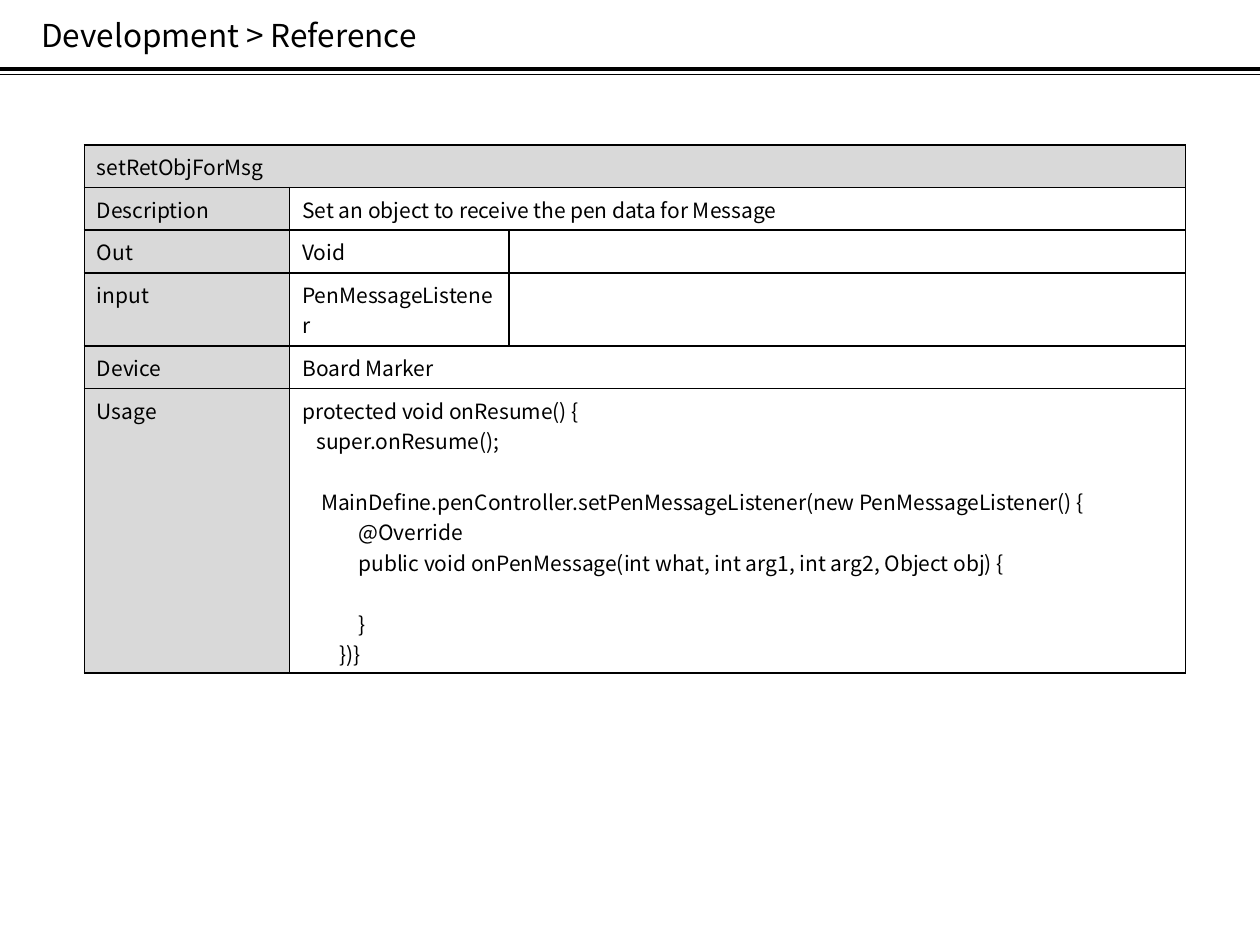
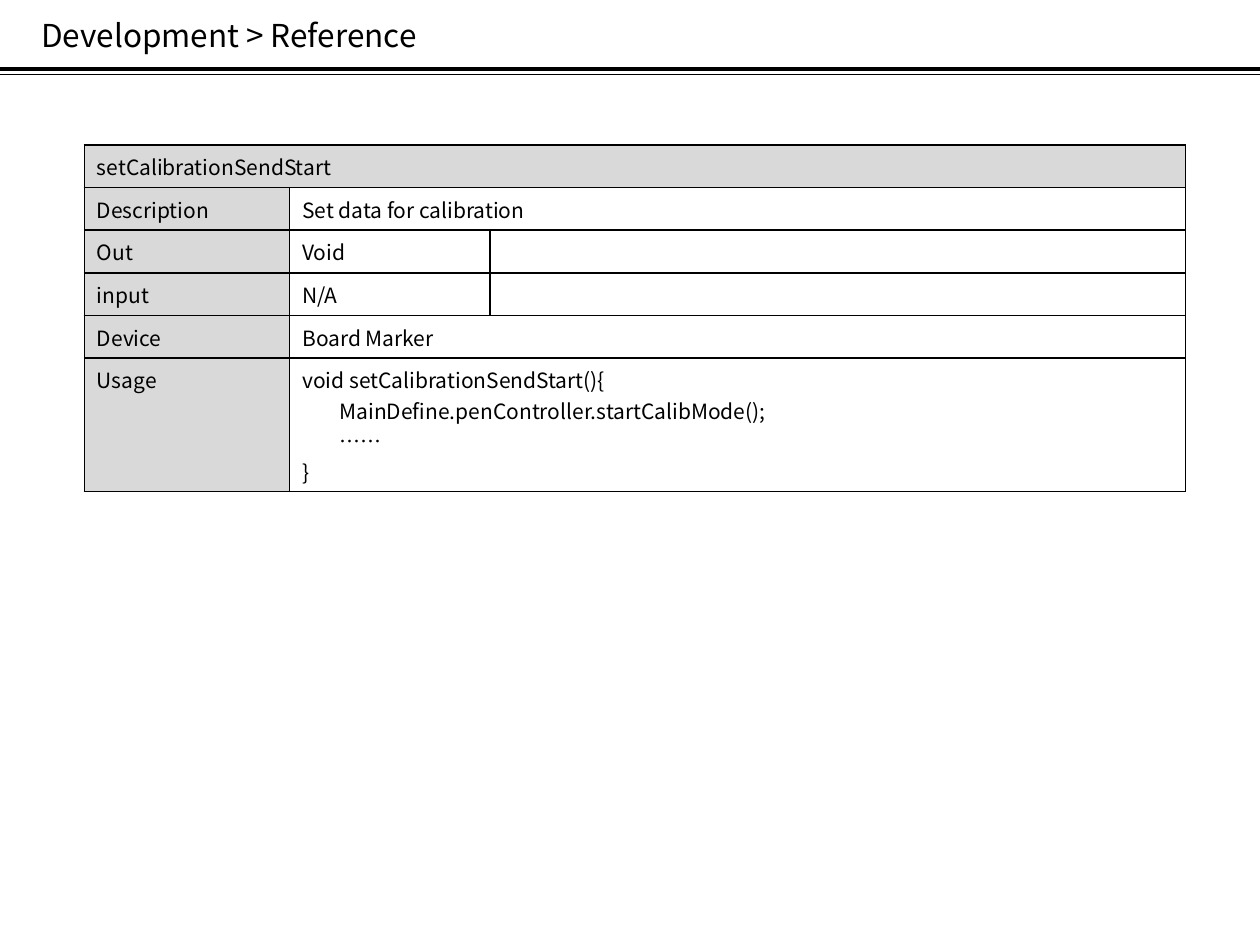
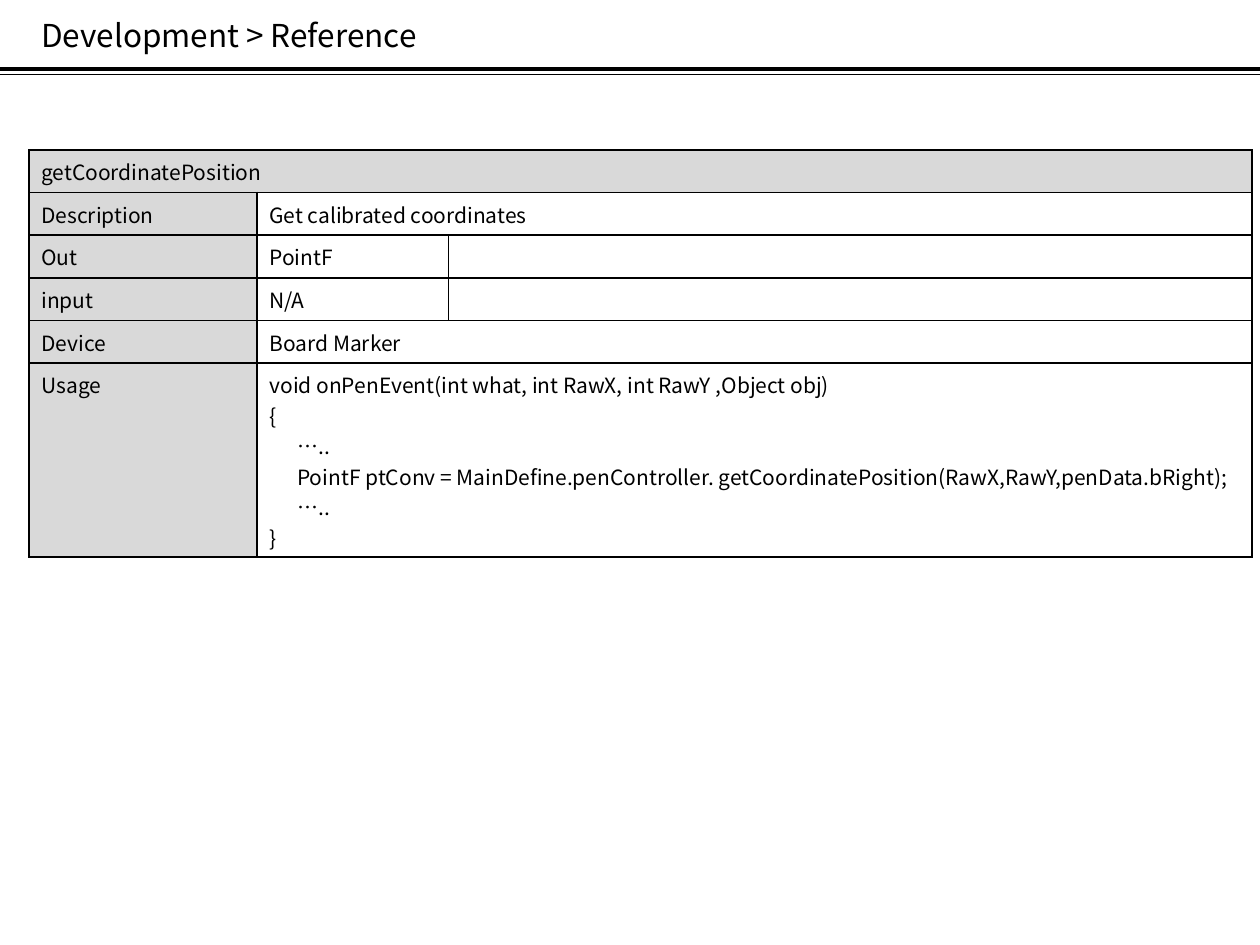
from math import ceil

from lxml.etree import SubElement
from pptx import Presentation
from pptx.dml.color import RGBColor
from pptx.enum.shapes import MSO_CONNECTOR
from pptx.enum.text import MSO_AUTO_SIZE
from pptx.oxml.ns import qn
from pptx.util import Cm, Pt

FONT = "Noto Sans CJK KR"
INK, LABEL_FILL = "000000", "D9D9D9"
PAGE_WIDTH, PAGE_HEIGHT = 25.4, 19.05
HEADING = "Development > Reference"
HEADING_BOX = (0.58, 0.2, 18.11, 1.02)
RULES = [(1.4, 2.25), (1.5, 0.25)]
BODY_SIZE, BODY_LINE = 12, 17.4
LINE_HEIGHT, ROW_PADDING, GLYPH_WIDTH, CELL_MARGINS = 0.61, 0.25, 0.22, 0.5
DEVICE = "Board Marker"

REFERENCES = [
    {
        "origin": (1.7, 2.92),
        "columns": (4.14, 4.42, 13.64),
        "method": "setRetObjForMsg",
        "description": "Set an object to receive the pen data for Message",
        "out": "Void",
        "input": "PenMessageListener",
        "usage": [
            (0, 0, "protected void onResume() {"),
            (0.28, 0, "super.onResume();"),
            (0.38, 1, "MainDefine.penController.setPenMessageListener(new PenMessageListener() {"),
            (1.13, 0, "@Override"),
            (1.13, 0, "public void onPenMessage(int what, int arg1, int arg2, Object obj) {"),
            (1.13, 1, "}"),
            (0.75, 0, "})}"),
        ],
    },
    {
        "origin": (1.7, 2.92),
        "columns": (4.14, 4.04, 14.02),
        "method": "setCalibrationSendStart",
        "description": "Set data for calibration",
        "out": "Void",
        "input": "N/A",
        "usage": [
            (0, 0, "void setCalibrationSendStart(){"),
            (0.75, 0, "MainDefine.penController.startCalibMode();"),
            (0.75, 0, "……"),
            (0, 0, "}"),
        ],
    },
    {
        "origin": (0.58, 3.02),
        "columns": (4.6, 3.86, 16.2),
        "method": "getCoordinatePosition",
        "description": "Get calibrated coordinates",
        "out": "PointF",
        "input": "N/A",
        "usage": [
            (0, 0, "void onPenEvent(int what, int RawX, int RawY ,Object obj)"),
            (0, 0, "{"),
            (0.56, 0, "….."),
            (0.56, 0, "PointF ptConv = MainDefine.penController. "
                      "getCoordinatePosition(RawX,RawY,penData.bRight);"),
            (0.56, 0, "….."),
            (0, 0, "}"),
        ],
    },
]


def color(value):
    """Turn a hex string into a colour."""
    return RGBColor.from_string(value)


def write(paragraph, text, size):
    """Add one run in the shared font."""
    run = paragraph.add_run()
    run.text = text
    for attribute, value in {"name": FONT, "size": Pt(size)}.items():
        setattr(run.font, attribute, value)
    run.font.color.rgb = color(INK)
    SubElement(run.font._element, qn("a:ea"), typeface=FONT)


def draw_heading(slide, box):
    """Place the page heading and the double rule below it."""
    heading = slide.shapes.add_textbox(*map(Cm, box)).text_frame
    for attribute, value in {"word_wrap": True, "auto_size": MSO_AUTO_SIZE.SHAPE_TO_FIT_TEXT}.items():
        setattr(heading, attribute, value)
    write(heading.paragraphs[0], HEADING, 18)
    for y, weight in RULES:
        rule = slide.shapes.add_connector(MSO_CONNECTOR.STRAIGHT, 0, Cm(y), Cm(PAGE_WIDTH), Cm(y))
        rule.line.color.rgb = color(INK)
        rule.line.width = Pt(weight)
        SubElement(rule._element.spPr, qn("a:effectLst"))


def style_cell(cell, fill):
    """Give a cell its border, its fill and the body text size."""
    properties = cell._tc.get_or_add_tcPr()
    for side in ("lnL", "lnR", "lnT", "lnB"):
        border = SubElement(properties, qn(f"a:{side}"), w=str(Pt(1)))
        SubElement(SubElement(border, qn("a:solidFill")), qn("a:srgbClr"), val=INK)
    if fill:
        cell.fill.solid()
        cell.fill.fore_color.rgb = color(fill)
    else:
        cell.fill.background()
    SubElement(cell.text_frame.paragraphs[0]._p, qn("a:endParaRPr"), sz=str(BODY_SIZE * 100))


def write_lines(cell, lines):
    """Write lines given as indent, blank lines before, and text."""
    frame = cell.text_frame
    for index, (indent, gap, text) in enumerate(lines):
        paragraph = frame.add_paragraph() if index else frame.paragraphs[0]
        write(paragraph, text, BODY_SIZE)
        if indent:
            paragraph._p.get_or_add_pPr().set("marL", str(Cm(indent)))
        if gap:
            paragraph.space_before = Pt(gap * BODY_LINE)


def draw_reference(slide, origin, columns, method, description, out, input, usage):
    """Place the reference table of one method."""
    rows = [
        (method, None),
        ("Description", [(0, 0, description)]),
        ("Out", [(0, 0, out)]),
        ("input", [(0, 0, input)]),
        ("Device", [(0, 0, DEVICE)]),
        ("Usage", usage),
    ]
    line_counts = [1] * len(rows)
    line_counts[3] = ceil(len(input) * GLYPH_WIDTH / (columns[1] - CELL_MARGINS))
    line_counts[5] = sum(1 + gap for _, gap, _ in usage)
    heights = [ROW_PADDING + LINE_HEIGHT * count for count in line_counts]
    box = (*origin, sum(columns), sum(heights))
    reference = slide.shapes.add_table(len(rows), len(columns), *map(Cm, box)).table
    for attribute in ("first_row", "horz_banding"):
        setattr(reference, attribute, False)
    for column, width in zip(reference.columns, columns):
        column.width = Cm(width)
    for index, (label, lines) in enumerate(rows):
        reference.rows[index].height = Cm(heights[index])
        cells = [reference.cell(index, column) for column in range(len(columns))]
        for column, cell in enumerate(cells):
            style_cell(cell, LABEL_FILL if column == 0 or index == 0 else None)
        write_lines(cells[0], [(0, 0, label)])
        if lines is None:
            cells[0].merge(cells[2])
            continue
        write_lines(cells[1], lines)
        if label not in ("Out", "input"):
            cells[1].merge(cells[2])


def main():
    """Build the deck."""
    deck = Presentation()
    for attribute, value in {"slide_width": PAGE_WIDTH, "slide_height": PAGE_HEIGHT}.items():
        setattr(deck, attribute, Cm(value))
    for reference in REFERENCES:
        slide = deck.slides.add_slide(deck.slide_layouts[6])
        draw_heading(slide, HEADING_BOX)
        draw_reference(slide, **reference)
    deck.save("out.pptx")


main()
